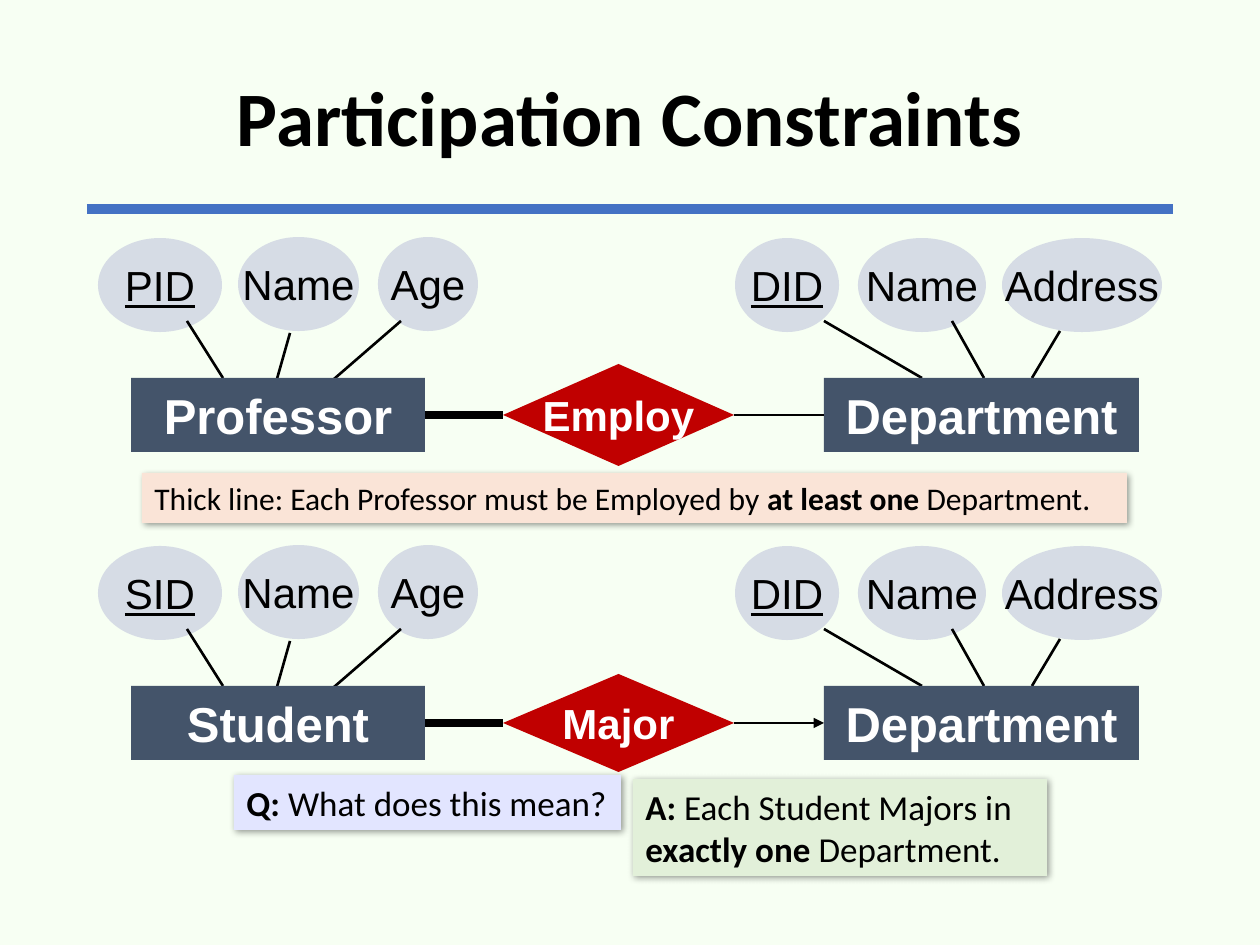
from lxml import etree
from pptx import Presentation
from pptx.dml.color import RGBColor
from pptx.enum.shapes import MSO_CONNECTOR, MSO_SHAPE
from pptx.enum.text import MSO_ANCHOR, MSO_AUTO_SIZE, PP_ALIGN
from pptx.oxml.ns import qn
from pptx.util import Pt

PX = 914400 / 126
STRAIGHT = MSO_CONNECTOR.STRAIGHT
RECTANGLE, OVAL, DIAMOND = MSO_SHAPE.RECTANGLE, MSO_SHAPE.OVAL, MSO_SHAPE.DIAMOND
LEFT, RIGHT = 1, 3  # connection sites

BLACK = RGBColor(0x00, 0x00, 0x00)
WHITE = RGBColor(0xFF, 0xFF, 0xFF)
BACKGROUND = RGBColor(0xF7, 0xFF, 0xF3)
RULE_BLUE = RGBColor(0x44, 0x72, 0xC4)
ENTITY_SLATE = RGBColor(0x44, 0x54, 0x6A)
ATTRIBUTE_GREY = RGBColor(0xD6, 0xDC, 0xE5)
RELATION_RED = RGBColor(0xC0, 0x00, 0x00)
QUESTION_LILAC = RGBColor(0xE2, 0xE5, 0xFF)
ANSWER_GREEN = RGBColor(0xE2, 0xF0, 0xD9)
NOTE_PEACH = RGBColor(0xFA, 0xE4, 0xD7)


def add_box(shapes, kind, box, fill, runs, size, color=BLACK, font="Arial"):
    """Add a filled shape; runs are (text, bold) pairs."""
    shape = shapes.add_shape(kind, *(round(v * PX) for v in box))
    shape.shadow.inherit = False
    shape.fill.solid()
    shape.fill.fore_color.rgb = fill
    shape.line.fill.background()
    frame = shape.text_frame
    frame.word_wrap = False
    frame.vertical_anchor = MSO_ANCHOR.MIDDLE
    paragraph = frame.paragraphs[0]
    paragraph.alignment = PP_ALIGN.CENTER
    for text, bold in runs:
        run = paragraph.add_run()
        run.text = text
        run.font.name, run.font.size, run.font.bold = font, Pt(size), bold
        run.font.color.rgb = color
    return shape


def add_line(shapes, ends, width, color=BLACK):
    line = shapes.add_connector(STRAIGHT, *(round(v * PX) for v in ends))
    line.line.width = Pt(width)
    line.line.color.rgb = color
    etree.SubElement(line._element.spPr, qn("a:effectLst"))
    return line


presentation = Presentation()
presentation.slide_width = round(1260 * PX)
presentation.slide_height = round(945 * PX)
slide = presentation.slides.add_slide(presentation.slide_layouts[5])
slide.background.fill.solid()
slide.background.fill.fore_color.rgb = BACKGROUND

# Title and rule
title = slide.shapes.title
title.left, title.top, title.width, title.height = (
    round(v * PX) for v in (87, 30, 1086, 183))
title.text_frame.text = "Participation Constraints"
title.text_frame.vertical_anchor = MSO_ANCHOR.MIDDLE
paragraph = title.text_frame.paragraphs[0]
paragraph.alignment = PP_ALIGN.CENTER
paragraph.line_spacing = 0.9
font = paragraph.runs[0].font
font.name, font.size, font.bold = "Calibri", Pt(44), True
font.color.rgb = BLACK
add_line(slide.shapes, (87, 209, 1173, 209), 6, RULE_BLUE)

# Entity-relationship diagrams: top, entity, key, relation, diamond height, arrow
diagrams = [
    (237, "Professor", "PID", "Employ", 102, False),
    (545, "Student", "SID", "Major", 98, True),
]
# Attribute ovals: left, offset from top, width
ovals = [(98, 1, 124), (238, 0, 121), (378, 0, 100),
         (735, 1, 104), (858, 1, 128), (1002, 1, 160)]
# Spokes from entity to attribute, offset from top
spokes = [(223, 141, 187, 84), (277, 142, 290, 96), (334, 142, 401, 84),
          (922, 141, 824, 84), (984, 141, 952, 84), (1032, 141, 1060, 94)]

for top, entity, key, relation, diamond_height, arrow in diagrams:
    shapes = slide.shapes.add_group_shape().shapes
    middle = top + 178

    # Attributes
    names = [key, "Name", "Age", "DID", "Name", "Address"]
    for name, (left, offset, width) in zip(names, ovals):
        oval = add_box(shapes, OVAL, (left, top + offset, width, 94),
                       ATTRIBUTE_GREY, [(name, False)], 24)
        oval.text_frame.paragraphs[0].runs[0].font.underline = name in (key, "DID")
    for x1, y1, x2, y2 in spokes:
        add_line(shapes, (x1, top + y1, x2, top + y2), 1.5)

    # Entities and relationship
    owner = add_box(shapes, RECTANGLE, (131, middle - 37, 294, 74),
                    ENTITY_SLATE, [(entity, True)], 28, WHITE)
    department = add_box(shapes, RECTANGLE, (824, middle - 37, 315, 74),
                         ENTITY_SLATE, [("Department", True)], 28, WHITE)
    diamond = add_box(
        shapes, DIAMOND, (503, middle - diamond_height // 2, 231, diamond_height),
        RELATION_RED, [(relation, True)], 24, WHITE)

    # Participation lines
    thin = add_line(shapes, (824, middle, 734, middle), 1.5)
    thin.begin_connect(department, LEFT)
    thin.end_connect(diamond, RIGHT)
    if arrow:
        etree.SubElement(thin.line._get_or_add_ln(), qn("a:headEnd"), type="triangle")
    thick = add_line(shapes, (425, middle, 503, middle), 5)
    thick.begin_connect(owner, RIGHT)
    thick.end_connect(diamond, LEFT)

# Notes with a soft shadow
notes = [
    ((234, 775, 387, 55), QUESTION_LILAC, 20,
     [("Q: ", True), ("What does this mean?", False)]),
    ((633, 779, 414, 97), ANSWER_GREEN, 20,
     [("A: ", True), ("Each Student Majors in ", False),
      ("exactly one ", True), ("Department.", False)]),
    ((142, 473, 985, 50), NOTE_PEACH, 18,
     [("Thick line: Each Professor must be Employed by ", False),
      ("at least one", True), (" Department.", False)]),
]
for box, fill, size, runs in notes:
    note = add_box(slide.shapes, RECTANGLE, box, fill, runs, size, font="Calibri")
    note.text_frame.word_wrap = True
    note.text_frame.auto_size = MSO_AUTO_SIZE.SHAPE_TO_FIT_TEXT
    note.text_frame.vertical_anchor = MSO_ANCHOR.TOP
    note.text_frame.paragraphs[0].alignment = PP_ALIGN.LEFT
    effects = note._element.spPr.find(qn("a:effectLst"))
    shadow = etree.SubElement(effects, qn("a:outerShdw"), blurRad=str(Pt(4)),
                              dist=str(Pt(1)), dir="2700000", algn="tl", rotWithShape="0")
    shadow_color = etree.SubElement(shadow, qn("a:srgbClr"), val=str(BLACK))
    etree.SubElement(shadow_color, qn("a:alpha"), val="40000")

presentation.save("out.pptx")
